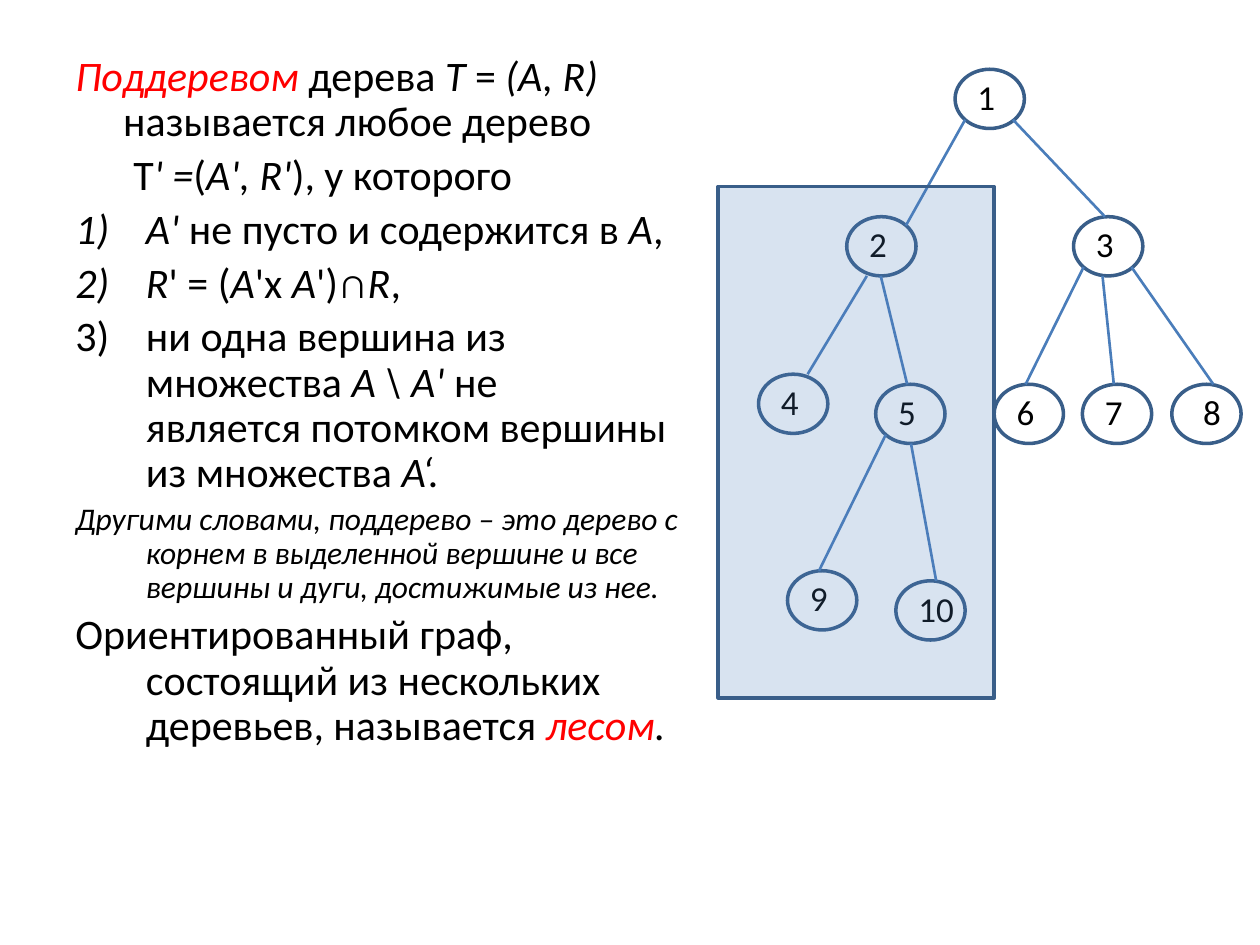
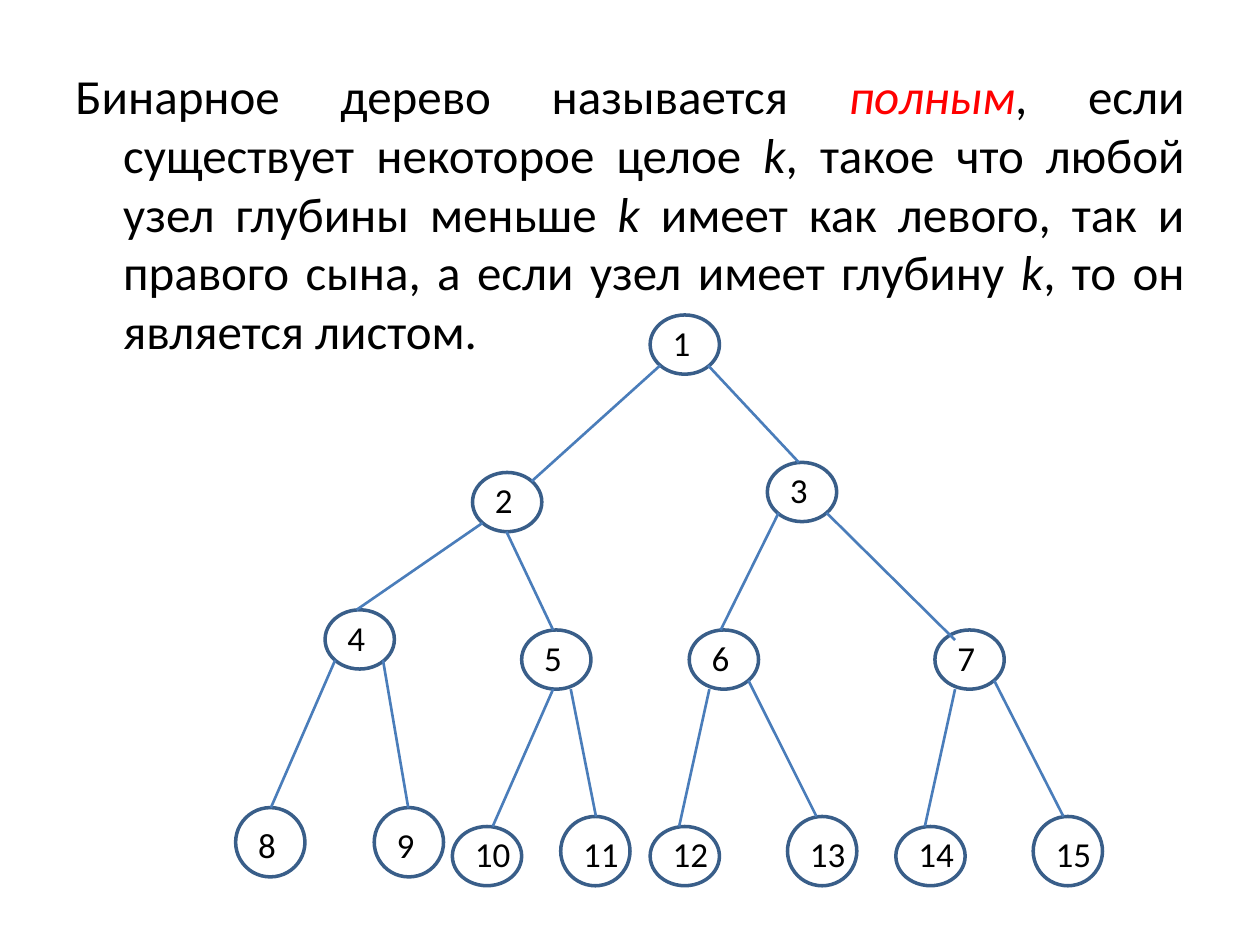
from lxml.etree import SubElement
from pptx import Presentation
from pptx.dml.color import RGBColor
from pptx.enum.shapes import MSO_CONNECTOR, MSO_SHAPE
from pptx.enum.text import PP_ALIGN
from pptx.oxml.ns import qn
from pptx.util import Emu, Pt

EMU_PER_PX = 9144  # 100 px to the inch
FONT = "Calibri"
BLACK = RGBColor(0x00, 0x00, 0x00)
RED = RGBColor(0xFF, 0x00, 0x00)
OUTLINE = RGBColor(0x39, 0x5E, 0x89)
EDGE = RGBColor(0x4A, 0x7D, 0xBA)
HIGHLIGHT = RGBColor(0x4F, 0x81, 0xBD)

# Span styles: (colour, italic)
PLAIN = (BLACK, False)
ITALIC = (BLACK, True)
TERM = (RED, True)

NODE_WIDTH, NODE_HEIGHT = 55, 47
LINE_BREAK = "\v"


def px(length):
    return Emu(length * EMU_PER_PX)


class TreeDeck:
    def __init__(self):
        self.deck = Presentation()
        self.deck.slide_width, self.deck.slide_height = px(1000), px(750)
        self.page = None

    def new_page(self):
        self.page = self.deck.slides.add_slide(self.deck.slide_layouts[6])

    def text_box(self, left, top, width, height, wrap=True):
        box = self.page.shapes.add_textbox(px(left), px(top), px(width), px(height))
        box.text_frame.word_wrap = wrap
        return box.text_frame

    def style_span(self, span, size, style):
        span.font.name, span.font.size = FONT, Pt(size)
        span.font.color.rgb, span.font.italic = style

    def paragraph(self, para, spans, size, margin, hanging=True, numbered=False):
        """Fill a paragraph with (text, style) spans."""
        properties = para._p.get_or_add_pPr()
        properties.set("marL", str(px(margin)))
        properties.set("indent", str(px(-margin if hanging else 0)))
        if numbered:
            SubElement(properties, qn("a:buFont"), typeface="+mj-lt")
            SubElement(properties, qn("a:buAutoNum"), type="arabicParenR")
        for text, style in spans:
            if text == LINE_BREAK:
                para.add_line_break()
                continue
            span = para.add_run()
            span.text = text
            self.style_span(span, size, style)

    def outlined(self, kind, left, top, width, height):
        shape = self.page.shapes.add_shape(kind, px(left), px(top), px(width), px(height))
        shape.shadow.inherit = False
        shape.fill.background()
        shape.line.color.rgb, shape.line.width = OUTLINE, Pt(2)
        return shape

    def highlight(self, left, top, width, height):
        shape = self.outlined(MSO_SHAPE.RECTANGLE, left, top, width, height)
        shape.fill.solid()
        shape.fill.fore_color.rgb = HIGHLIGHT
        colour = shape.fill._xPr.find(qn("a:solidFill"))[0]
        SubElement(colour, qn("a:alpha"), val="22000")

    def node(self, number, left, top, height=NODE_HEIGHT, label_shift=8):
        self.outlined(MSO_SHAPE.OVAL, left, top, NODE_WIDTH, height)
        label_top = top + height - NODE_HEIGHT
        label_width = 34 if number < 10 else 49
        frame = self.text_box(left + label_shift, label_top, label_width, 44, wrap=False)
        frame.text = str(number)
        self.style_span(frame.paragraphs[0].runs[0], 20, PLAIN)

    def edge(self, start, end):
        line = self.page.shapes.add_connector(
            MSO_CONNECTOR.STRAIGHT, *(px(value) for value in (*start, *end)))
        line.line.color.rgb, line.line.width = EDGE, Pt(1.5)
        SubElement(line._element.spPr, qn("a:effectLst"))

    def tree(self, nodes, edges):
        """Draw nodes, then edges given as parent, child, exit x, entry x and entry y."""
        for number, place in nodes.items():
            self.node(number, *place)
        for parent, child, exit_x, entry_x, entry_y in edges:
            left, top = nodes[parent][:2]
            child_left, child_top = nodes[child][:2]
            # Edges leave the sides of a node a little above its bottom
            exit_y = NODE_HEIGHT if 10 < exit_x < 45 else 40
            self.edge((left + exit_x, top + exit_y),
                      (child_left + entry_x, child_top + entry_y))


# Subtree definition: spans, size, margin, hanging, numbered, space before
SUBTREE_TEXT = [
    ([("Поддеревом ", TERM), ("дерева ", PLAIN), ("Т ", ITALIC), ("= ", PLAIN),
      ("(А, R) ", ITALIC), ("называется любое дерево", PLAIN)], 24, 38, True, False, 0),
    ([("T", PLAIN), ("' =", ITALIC), ("(", PLAIN), ("А', R'", ITALIC),
      ("), у которого", PLAIN)], 24, 46, False, False, 4.8),
    ([("А' ", ITALIC), ("не пусто и содержится в ", PLAIN), ("A", ITALIC),
      (",", PLAIN)], 24, 56, True, True, 4.8),
    ([("R", ITALIC), ("' = (", PLAIN), ("A", ITALIC), ("'х ", PLAIN), ("A", ITALIC),
      ("')∩", PLAIN), ("R", ITALIC), (",", PLAIN)], 24, 56, True, True, 4.8),
    ([("ни одна вершина из множества ", PLAIN), ("А \\ А' ", ITALIC), ("не", PLAIN),
      (LINE_BREAK, PLAIN), ("является потомком вершины из множества ", PLAIN),
      ("А‘.", ITALIC)], 24, 56, True, True, 4.8),
    ([("Другими словами, поддерево – это дерево с корнем в выделенной вершине "
       "и все вершины и дуги, достижимые из нее.", ITALIC)], 18, 56, True, False, 3.6),
    ([("Ориентированный граф, состоящий из нескольких деревьев, называется ", PLAIN),
      ("лесом", TERM), (".", ITALIC)], 24, 56, True, False, 4.8),
]
# Nodes: left, top, then height and label shift where they differ
SUBTREE_NODES = {
    1: (758, 55), 2: (672, 172), 3: (852, 172), 4: (602, 297), 5: (695, 305),
    6: (789, 305), 7: (859, 305), 8: (930, 305, NODE_HEIGHT, 15),
    9: (625, 453), 10: (711, 461),
}
SUBTREE_EDGES = [
    (1, 2, 8, 47, 7), (1, 3, 46, 25, 0), (2, 4, 16, 39, 0), (2, 5, 27, 25, 0),
    (3, 6, 8, 25, 0), (3, 7, 23, 25, 0), (3, 8, 46, 33, 0),
    (5, 9, 8, 25, 0), (5, 10, 28, 32, 0),
]

# Full binary tree definition
FULL_TREE_TEXT = [
    ("Бинарное дерево называется ", PLAIN), ("полным", TERM),
    (", если существует некоторое целое ", PLAIN), ("k", ITALIC),
    (", такое что любой узел глубины меньше ", PLAIN), ("k", ITALIC),
    (" имеет как левого, так и правого сына, а если узел имеет глубину ", PLAIN),
    ("k", ITALIC), (", то он является листом.", PLAIN),
]
FULL_TREE_NODES = {
    1: (516, 250), 2: (375, 375), 3: (609, 367), 4: (258, 484), 5: (414, 500),
    6: (547, 500), 7: (742, 500), 8: (187, 641, 55), 9: (297, 641, 55),
    10: (359, 656), 11: (445, 648, 55), 12: (516, 656), 13: (625, 648, 55),
    14: (711, 656), 15: (820, 648, 55),
}
FULL_TREE_EDGES = [
    (1, 2, 8, 47, 7), (1, 3, 46, 25, 0), (2, 4, 8, 25, 0), (2, 5, 27, 25, 0),
    (3, 6, 9, 25, 0), (3, 7, 47, 16, 8), (4, 8, 8, 28, 0), (4, 9, 46, 27, 0),
    (5, 10, 25, 32, 0), (5, 11, 39, 28, 0), (6, 12, 16, 23, 0), (6, 13, 47, 23, 0),
    (7, 14, 16, 23, 0), (7, 15, 47, 24, 0),
]


def subtree_page(deck):
    deck.new_page()
    frame = deck.text_box(50, 39, 513, 586)
    for index, (*content, space_before) in enumerate(SUBTREE_TEXT):
        para = frame.add_paragraph() if index else frame.paragraphs[0]
        deck.paragraph(para, *content)
        para.line_spacing = 0.9
        para.space_before = Pt(space_before)
    deck.tree(SUBTREE_NODES, SUBTREE_EDGES)
    deck.highlight(570, 148, 219, 406)


def full_tree_page(deck):
    deck.new_page()
    para = deck.text_box(50, 47, 900, 234).paragraphs[0]
    deck.paragraph(para, FULL_TREE_TEXT, 28, 38)
    para.alignment = PP_ALIGN.JUSTIFY
    deck.tree(FULL_TREE_NODES, FULL_TREE_EDGES)


def main():
    deck = TreeDeck()
    subtree_page(deck)
    full_tree_page(deck)
    deck.deck.save("out.pptx")


if __name__ == "__main__":
    main()
